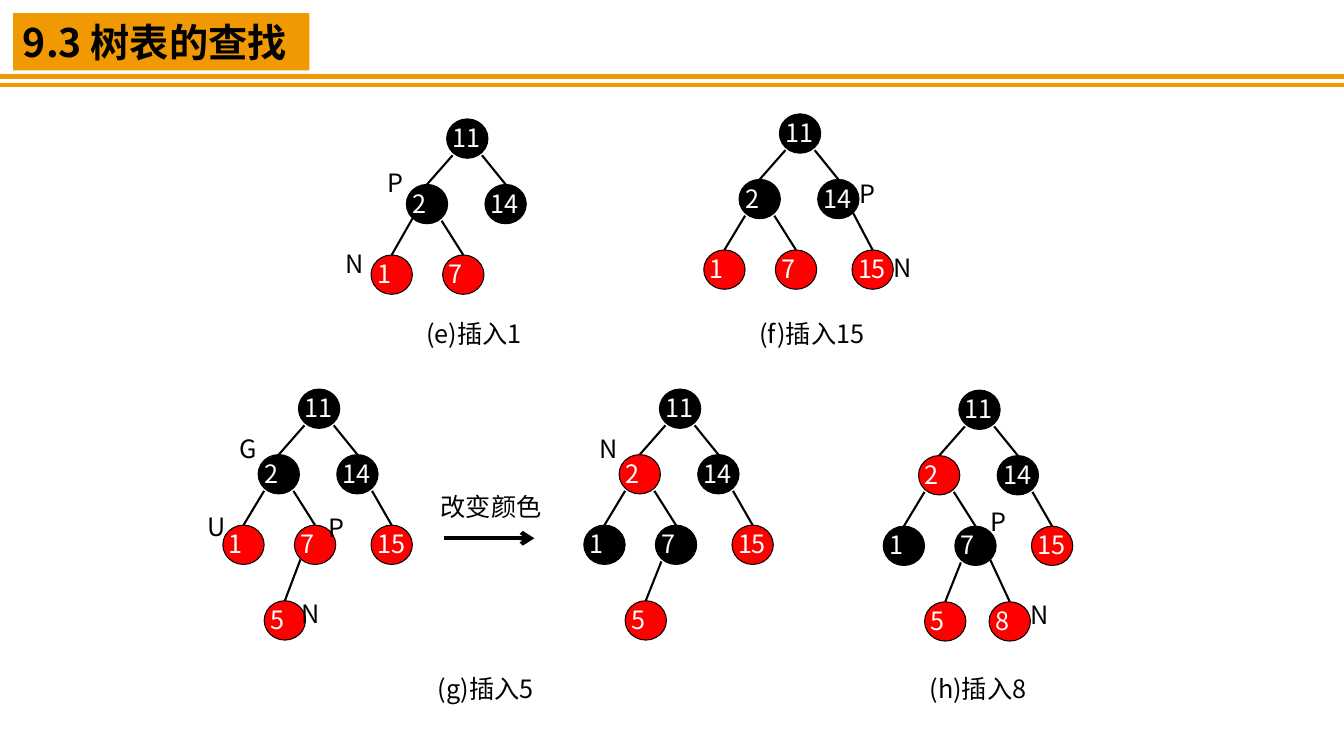
from pptx import Presentation
from pptx.dml.color import RGBColor as RGB
from pptx.enum.shapes import MSO_CONNECTOR as LINE, MSO_SHAPE as SHAPE
from pptx.enum.text import MSO_ANCHOR as ANCHOR
from pptx.oxml.ns import qn
from pptx.util import Pt
from lxml.etree import SubElement as sub

PX = 9144  # 100 px to the inch
FONT = "Noto Sans CJK SC"
COLORS = {"black": "000000", "white": "FFFFFF", "red": "FF0000", "gold": "F19903"}
WIDE, TALL = 41, 39  # node size

# Key: left and top from the root, and the parent key
SLOTS = {
    "11": (0, 0, None),
    "2": (-40, 65, "11"),
    "14": (38, 65, "11"),
    "1": (-75, 135, "2"),
    "7": (-4, 135, "2"),
    "15": (72, 135, "14"),
    "5": (-34, 210, "7"),
    "8": (30, 210, "7"),
}

# Root left and top, keys, red keys, edge starts that sit higher than usual
TREES = [
    (443, 118, "11 2 14 1 7", "1 7", {"1": 34}),
    (773, 113, "11 2 14 1 7 15", "1 7 15", {"15": 33}),
    (296, 386, "11 2 14 1 7 15 5", "1 7 15 5", {"5": 34}),
    (654, 386, "11 2 14 1 7 15 5", "2 15 5", {}),
    (951, 387, "11 2 14 1 7 15 5 8", "2 15 5 8", {"8": 33}),
]

CAPTIONS = [
    ("(e)插入1", 423, 318, 98),
    ("(f)插入15", 753, 318, 125),
    ("(g)插入5", 434, 670, 98),
    ("(h)插入8", 922, 670, 98),
    ("改变颜色", 437, 490, 105),
]

MARKS = [
    ("P", 384, 168), ("N", 343, 249),
    ("P", 853, 179), ("N", 886, 253),
    ("G", 238, 432), ("U", 206, 509), ("P", 326, 510), ("N", 299, 596),
    ("N", 595, 432),
    ("P", 982, 504), ("N", 1022, 597),
]


def write(shape, text, size=18, color="black", bold=False, pad=0, lead=20):
    frame = shape.text_frame
    frame.word_wrap = True
    frame.margin_left = frame.margin_right = pad * PX
    frame.margin_top = frame.margin_bottom = 0
    para = frame.paragraphs[0]
    para.alignment = 1  # left
    if lead:
        para.line_spacing = Pt(lead)
    run = para.add_run()
    run.text = text
    font = run.font
    font.size, font.bold, font.name = Pt(size), bold, FONT
    font.color.rgb = RGB.from_string(COLORS[color])
    sub(font._element, qn("a:ea"), typeface=FONT)


class Board:
    def __init__(self, slide):
        self.shapes = slide.shapes

    def shape(self, kind, x, y, w, h, fill, edge=None):
        item = self.shapes.add_shape(kind, x * PX, y * PX, w * PX, h * PX)
        item.shadow.inherit = False
        item.fill.solid()
        item.fill.fore_color.rgb = RGB.from_string(COLORS[fill])
        if edge:
            item.line.color.rgb = RGB.from_string(COLORS[edge])
            item.line.width = Pt(0.75)
        else:
            item.line.fill.background()
        item.text_frame.vertical_anchor = ANCHOR.MIDDLE
        return item

    def line(self, x1, y1, x2, y2, color="black", width=1.5, arrow=False):
        item = self.shapes.add_connector(
            LINE.STRAIGHT, x1 * PX, y1 * PX, x2 * PX, y2 * PX)
        item.line.color.rgb = RGB.from_string(COLORS[color])
        item.line.width = Pt(width)
        if arrow:
            sub(item.line._get_or_add_ln(), qn("a:tailEnd"), type="arrow")
        sub(item._element.spPr, qn("a:effectLst"))
        return item

    def label(self, text, x, y, w=27, h=28):
        box = self.shapes.add_textbox(x * PX, y * PX, w * PX, h * PX)
        write(box, text)

    def tree(self, left, top, keys, reds, starts):
        nodes = {}
        for key in keys.split():
            dx, dy, up = SLOTS[key]
            x, y = left + dx, top + dy
            fill = "red" if key in reds.split() else "black"
            node = self.shape(SHAPE.OVAL, x, y, WIDE, TALL, fill, "black")
            write(node, key, color="white")
            nodes[key] = node
            if up:
                px, py, _ = SLOTS[up]
                side = 6 if dx < px else 35
                edge = self.line(left + px + side, top + py + starts.get(key, 36),
                                 x + WIDE // 2, y)
                edge.end_connect(node, 0)


def main():
    deck = Presentation()
    deck.slide_width, deck.slide_height = 1333 * PX, 750 * PX
    board = Board(deck.slides.add_slide(deck.slide_layouts[6]))

    # Heading and double rule
    head = board.shape(SHAPE.RECTANGLE, 13, 13, 294, 57, "gold")
    write(head, "9.3 树表的查找", size=28, bold=True, pad=10, lead=None)
    for y in (76, 84):
        board.line(0, y, 1333, y, "gold", 3)

    # Trees
    for tree in TREES:
        board.tree(*tree)

    # Captions, node marks and the recolour arrow
    for item in CAPTIONS + MARKS:
        board.label(*item)
    board.line(440, 534, 530, 534, width=3, arrow=True)

    deck.save("out.pptx")


if __name__ == "__main__":
    main()
